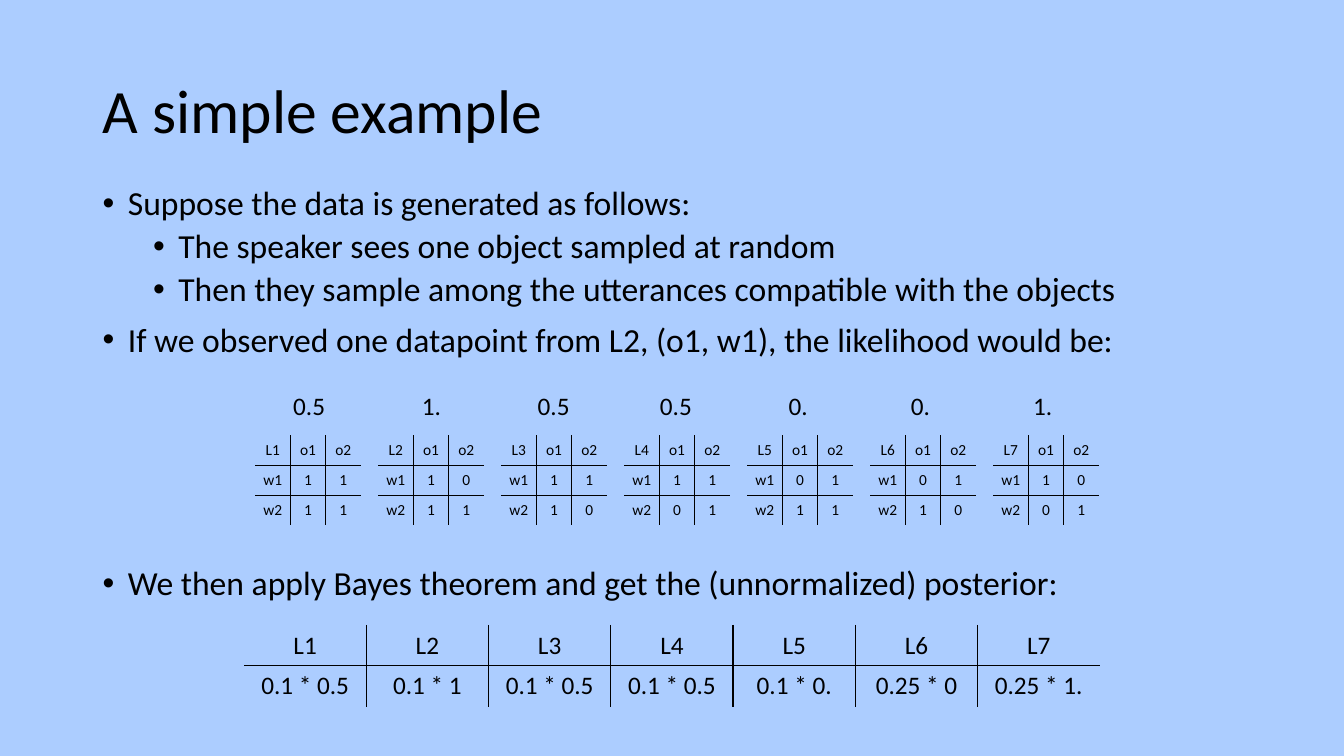
from lxml import etree
from pptx import Presentation
from pptx.dml.color import RGBColor
from pptx.enum import text as tx
from pptx.oxml import ns
from pptx.util import Inches, Pt

TITLE = "A simple example"
# level, space before in points, wording
POINTS = [
    (0, 10, "Suppose the data is generated as follows:"),
    (1, 5, "The speaker sees one object sampled at random"),
    (1, 5, "Then they sample among the utterances compatible with the objects"),
    (0, 10, "If we observed one datapoint from L2, (o1, w1), the likelihood would be:"),
    (0, 148, "We then apply Bayes theorem and get the (unnormalized) posterior:"),
]
# name, w1 row, w2 row, likelihood, posterior
LANGS = [
    ("L1", "11", "11", "0.5", "0.1 * 0.5"),
    ("L2", "10", "11", "1.", "0.1 * 1"),
    ("L3", "11", "10", "0.5", "0.1 * 0.5"),
    ("L4", "11", "01", "0.5", "0.1 * 0.5"),
    ("L5", "01", "11", "0.", "0.1 * 0."),
    ("L6", "01", "10", "0.", "0.25 * 0"),
    ("L7", "10", "01", "1.", "0.25 * 1."),
]
COLORS = {"back": "ACCDFF", "ink": "000000"}
FONT = "Calibri"
NO_STYLE = "{2D5ABB26-0587-4C30-8999-92F81FD0307C}"
LEFT, WIDE = 0.92, 11.5
STEP = 1.22


def style(par, size, align=tx.PP_ALIGN.LEFT):
    par.alignment = align
    par.font.name = FONT
    par.font.size = Pt(size)
    par.font.color.rgb = RGBColor.from_string(COLORS["ink"])


def bullet(par, level):
    """Give a paragraph a hanging round bullet."""
    props = par._p.get_or_add_pPr()
    props.set("marL", str(Inches(0.25 + 0.5 * level)))
    props.set("indent", str(Inches(-0.25)))
    font = etree.SubElement(props, ns.qn("a:buFont"))
    font.set("typeface", "Arial")
    etree.SubElement(props, ns.qn("a:buChar")).set("char", "•")


def rule(cell, sides):
    """Draw 1 pt borders on the given sides (of L, R, T, B)."""
    props = cell._tc.get_or_add_tcPr()
    for side in sides:
        line = etree.SubElement(props, ns.qn("a:ln" + side))
        line.set("w", str(Pt(1)))
        fill = etree.SubElement(line, ns.qn("a:solidFill"))
        etree.SubElement(fill, ns.qn("a:srgbClr")).set("val", COLORS["ink"])


def grid(slide, rows, box, size, pad=(0.1, 0.05)):
    """Add a table with lines between its cells only."""
    down, over = len(rows), len(rows[0])
    x, y, w, h = map(Inches, box)
    table = slide.shapes.add_table(down, over, x, y, w, h).table
    table.first_row = table.horz_banding = False
    table._tbl.find(".//" + ns.qn("a:tableStyleId")).text = NO_STYLE
    for r, row in enumerate(rows):
        for c, word in enumerate(row):
            cell = table.cell(r, c)
            cell.text = word
            cell.vertical_anchor = tx.MSO_ANCHOR.MIDDLE
            cell.margin_left = cell.margin_right = Inches(pad[0])
            cell.margin_top = cell.margin_bottom = Inches(pad[1])
            style(cell.text_frame.paragraphs[0], size, tx.PP_ALIGN.CENTER)
            if down > 1:
                inner = {"L": c > 0, "R": c < over - 1,
                         "T": r > 0, "B": r < down - 1}
                rule(cell, [side for side, on in inner.items() if on])
            cell.fill.background()


def head(slide):
    title = slide.shapes.title
    title.left, title.top = Inches(LEFT), Inches(0.4)
    title.width, title.height = Inches(WIDE), Inches(1.45)
    frame = title.text_frame
    frame.text = TITLE
    frame.auto_size = tx.MSO_AUTO_SIZE.NONE
    frame.vertical_anchor = tx.MSO_ANCHOR.MIDDLE
    par = frame.paragraphs[0]
    par.line_spacing = 0.9
    style(par, 44)


def body(slide):
    box = slide.shapes.add_textbox(Inches(LEFT), Inches(1.8),
                                   Inches(WIDE), Inches(4.76))
    frame = box.text_frame
    frame.word_wrap = True
    for i, (level, gap, words) in enumerate(POINTS):
        par = frame.add_paragraph() if i else frame.paragraphs[0]
        par.text = words
        par.level = level
        par.line_spacing = 0.9
        par.space_before = Pt(gap)
        style(par, 24)
        bullet(par, level)


def main():
    deck = Presentation()
    deck.slide_width, deck.slide_height = Inches(13.33), Inches(7.5)
    slide = deck.slides.add_slide(deck.slide_layouts[5])
    back = slide.background.fill
    back.solid()
    back.fore_color.rgb = RGBColor.from_string(COLORS["back"])
    head(slide)
    body(slide)
    names, _, _, odds, posts = zip(*LANGS)
    grid(slide, [odds], (2.46, 3.83, 8.49, 0.41), 18)
    for i, (name, one, two, _, _) in enumerate(LANGS):
        rows = [(name, "o1", "o2"), ("w1", *one), ("w2", *two)]
        grid(slide, rows, (2.53 + i * STEP, 4.32, 1.05, 0.89), 11, (0.06, 0.03))
    grid(slide, [names, posts], (2.42, 6.2, 8.49, 0.81), 18)
    deck.save("out.pptx")


if __name__ == "__main__":
    main()
